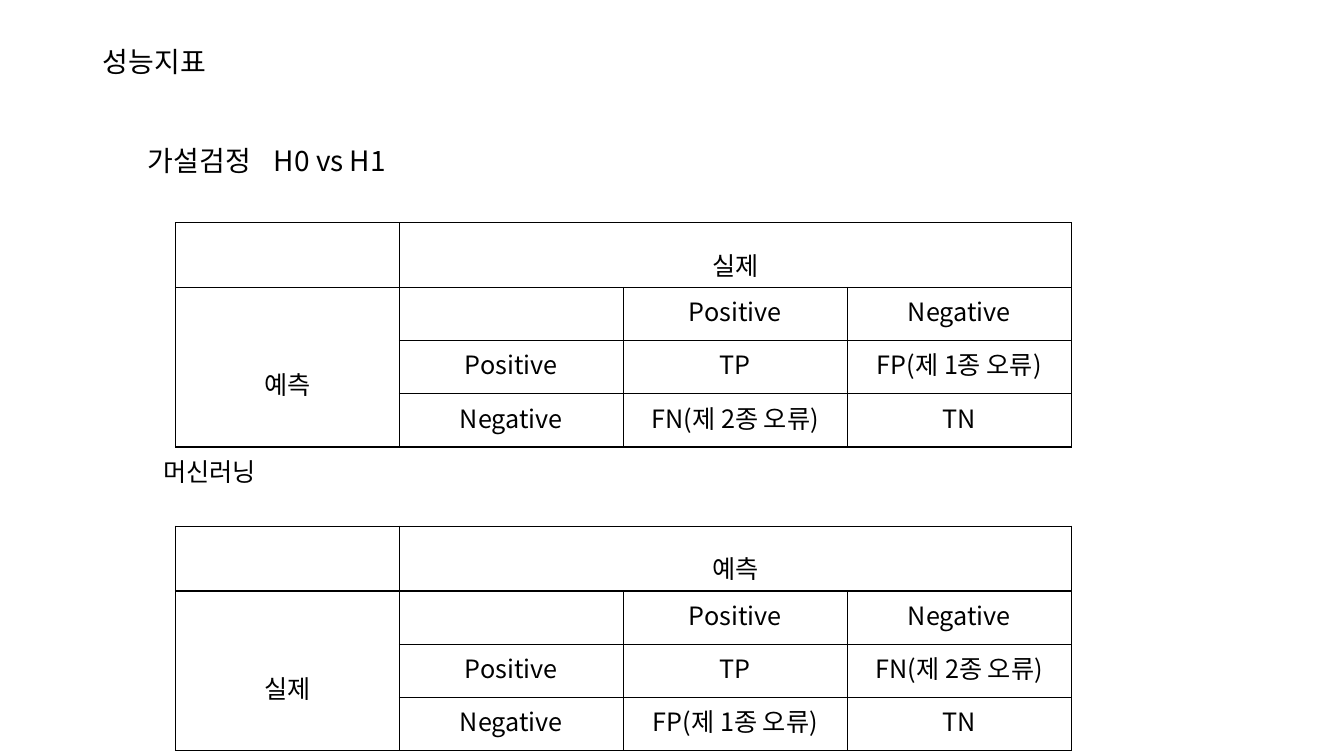
from dataclasses import dataclass

import pptx
import pptx.dml.color
import pptx.enum.text
import pptx.oxml.xmlchemy
import pptx.util
from pptx.util import Cm, Pt

ALIGN = pptx.enum.text.PP_ALIGN
ANCHOR = pptx.enum.text.MSO_ANCHOR
AUTO_SIZE = pptx.enum.text.MSO_AUTO_SIZE


@dataclass(frozen=True)
class Theme:
    font: str = "Noto Sans CJK KR"
    ink: str = "000000"
    paper: str = "FFFFFF"
    heading: int = 20
    body: int = 18
    border: float = 1


THEME = Theme()

HEADING_FORMAT = {"line_spacing": 0.9, "alignment": ALIGN.LEFT}
CELL_FORMAT = {"alignment": ALIGN.CENTER}
TOP_HEADER_FORMAT = {"alignment": ALIGN.CENTER, "line_spacing": 1.5}


def rgb(value):
    return pptx.dml.color.RGBColor.from_string(value)


def add_xml(parent, tag, **attributes):
    child = pptx.oxml.xmlchemy.OxmlElement(tag)
    for name, value in attributes.items():
        child.set(name, str(value))
    parent.append(child)
    return child


def write(frame, text, size, paragraph_format):
    paragraph = frame.paragraphs[0]
    for name, value in paragraph_format.items():
        setattr(paragraph, name, value)
    run = paragraph.add_run()
    run.text = text
    run.font.color.rgb = rgb(THEME.ink)
    for name, value in {"size": Pt(size), "name": THEME.font, "bold": False}.items():
        setattr(run.font, name, value)
    add_xml(run._r.get_or_add_rPr(), "a:ea", typeface=THEME.font)
    return paragraph


def place(shape, left, top, width, height):
    box = {"left": left, "top": top, "width": width, "height": height}
    for name, value in box.items():
        setattr(shape, name, Cm(value))


def fill_heading(shape, text):
    frame = shape.text_frame
    settings = {"word_wrap": True, "auto_size": AUTO_SIZE.NONE, "vertical_anchor": ANCHOR.MIDDLE}
    for name, value in settings.items():
        setattr(frame, name, value)
    return write(frame, text, THEME.heading, HEADING_FORMAT)


def add_subheading(slide, text, tab_stop):
    """Add a heading whose second part starts at the tab stop, in cm."""
    subheading = slide.shapes.add_textbox(Cm(3.48), Cm(3.51), Cm(14.96), Cm(1.17))
    paragraph = fill_heading(subheading, text)
    stops = add_xml(paragraph._p.get_or_add_pPr(), "a:tabLst")
    add_xml(stops, "a:tab", pos=int(Cm(tab_stop)), algn="l")


def add_label(slide, text):
    label = slide.shapes.add_textbox(Cm(3.86), Cm(11.38), Cm(5.79), Cm(1.02))
    label.text_frame.word_wrap = True
    label.text_frame.auto_size = AUTO_SIZE.SHAPE_TO_FIT_TEXT
    write(label.text_frame, text, THEME.body, {"alignment": ALIGN.LEFT})


def style_cell(cell):
    properties = cell._tc.get_or_add_tcPr()
    for side in ("a:lnL", "a:lnR", "a:lnT", "a:lnB"):
        line = add_xml(properties, side, w=int(Pt(THEME.border)))
        add_xml(add_xml(line, "a:solidFill"), "a:srgbClr", val=THEME.ink)
    cell.fill.solid()
    cell.fill.fore_color.rgb = rgb(THEME.paper)


def add_confusion_matrix(slide, top, across, down, outcomes):
    """Add a 2 x 2 outcome grid with a merged header on each axis."""
    classes = ("Positive", "Negative")
    matrix = slide.shapes.add_table(4, 4, Cm(4.42), Cm(top), Cm(22.58), Cm(5.36)).table
    matrix.first_row = matrix.horz_banding = False
    for row in matrix.rows:
        row.height = Cm(1.34)
    for cell in matrix.iter_cells():
        style_cell(cell)

    matrix.cell(0, 1).merge(matrix.cell(0, 3))
    matrix.cell(1, 0).merge(matrix.cell(3, 0))
    write(matrix.cell(0, 1).text_frame, across, THEME.body, TOP_HEADER_FORMAT)
    side_header = matrix.cell(1, 0)
    side_header.margin_top = Cm(1.97)
    write(side_header.text_frame, down, THEME.body, CELL_FORMAT)

    grid = [("", *classes)] + [(name, *row) for name, row in zip(classes, outcomes)]
    for row_index, row in enumerate(grid, start=1):
        for column_index, text in enumerate(row, start=1):
            if text:
                cell = matrix.cell(row_index, column_index)
                write(cell.text_frame, text, THEME.body, CELL_FORMAT)


def main():
    deck = pptx.Presentation()
    deck.slide_width, deck.slide_height = Cm(33.87), Cm(19.05)
    slide = deck.slides.add_slide(deck.slide_layouts[5])

    title = slide.shapes.title
    place(title, 2.34, 1.02, 14.96, 1.17)
    fill_heading(title, "성능지표")

    type_1, type_2 = "FP(제 1종 오류)", "FN(제 2종 오류)"
    add_confusion_matrix(slide, 5.61, "실제", "예측", [("TP", type_1), (type_2, "TN")])
    add_confusion_matrix(slide, 13.26, "예측", "실제", [("TP", type_2), (type_1, "TN")])
    add_subheading(slide, "가설검정\tH0 vs H1", tab_stop=3.17)
    add_label(slide, "머신러닝")

    deck.save("out.pptx")


if __name__ == "__main__":
    main()
